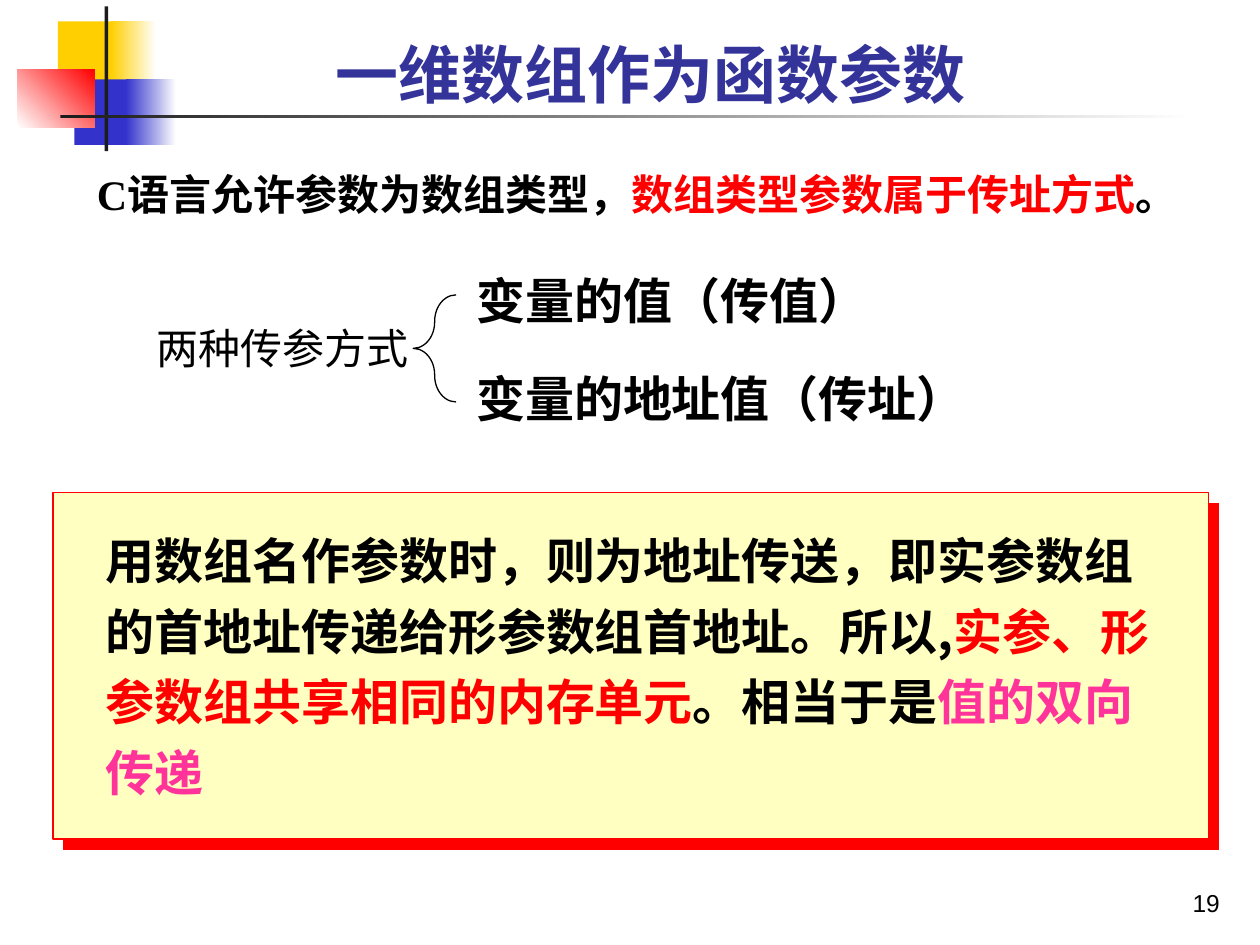
"""Build the slide on passing one-dimensional arrays as function parameters."""
from lxml import etree
from pptx import Presentation
from pptx.dml.color import RGBColor
from pptx.enum.shapes import MSO_SHAPE
from pptx.enum.text import MSO_ANCHOR, MSO_AUTO_SIZE, PP_ALIGN
from pptx.oxml.ns import qn
from pptx.util import Inches, Pt

RECT, BRACE = MSO_SHAPE.RECTANGLE, MSO_SHAPE.LEFT_BRACE
TOP, BASE = MSO_ANCHOR.TOP, MSO_ANCHOR.BOTTOM
LEFT, MID, RIGHT = PP_ALIGN.LEFT, PP_ALIGN.CENTER, PP_ALIGN.RIGHT
FIXED = MSO_AUTO_SIZE.NONE
BLACK = RGBColor(0, 0, 0)
WHITE = RGBColor(0xFF, 0xFF, 0xFF)
RED = RGBColor(0xFF, 0, 0)
PINK = RGBColor(0xFF, 0x33, 0x99)
GOLD = RGBColor(0xFF, 0xCF, 0x01)
BLUE = RGBColor(0x33, 0x33, 0xCC)
NAVY = RGBColor(0x33, 0x33, 0x99)
DARK = RGBColor(0x1C, 0x1C, 0x1C)
CREAM = RGBColor(0xFF, 0xFF, 0xC1)
HAN = "Noto Sans CJK SC"

TITLE = [[("一维数组作为函数参数", NAVY)]]
INTRO = [[("C语言允许参数为数组类型，", BLACK), ("数组类型参数属于传址方式", RED),
          ("。", BLACK)]]
LABEL = [[("两种传参方式", BLACK)]]
WAYS = [[("变量的值（传值）", BLACK)], [("变量的地址值（传址）", BLACK)]]
NOTE = [[("用数组名作参数时，则为地址传送，即实参数组的首地址传递给形参数组首地址。所以,", BLACK),
         ("实参、形参数组共享相同的内存单元", RED), ("。相当于是", BLACK),
         ("值的双向传递", PINK)]]
PAGE = [[("19", BLACK)]]

# box, start colour, end colour, angle
DECOR = [
    ((0.46, 0.17, 0.48, 0.52), GOLD, None, 0),
    ((0.88, 0.17, 0.36, 0.52), GOLD, WHITE, 0),
    ((0.59, 0.63, 0.46, 0.52), BLUE, None, 0),
    ((1, 0.63, 0.4, 0.52), BLUE, WHITE, 0),
    ((0.14, 0.55, 0.61, 0.46), WHITE, RED, 45),
    ((0.83, 0.05, 0.03, 1.15), DARK, None, 0),
    ((0.48, 0.91, 9, 0.03), DARK, WHITE, 0),
]


def place(shape, box):
    shape.left, shape.top, shape.width, shape.height = map(Inches, box)


def draw(slide, kind, box, line=None):
    shape = slide.shapes.add_shape(kind, *map(Inches, box))
    shape.shadow.inherit = False
    if line is None:
        shape.line.fill.background()
    else:
        shape.line.color.rgb = line
        shape.line.width = Pt(0.75)
    return shape


def paint(shape, start, end=None, angle=0):
    fill = shape.fill
    if end is None:
        fill.solid()
        fill.fore_color.rgb = start
        return
    fill.gradient()
    fill.gradient_angle = angle
    for stop, tone in zip(fill.gradient_stops, (start, end)):
        stop.color.rgb = tone


def cast(shape, tone):
    """Give the shape a hard shadow to the lower right."""
    list_ = shape._element.spPr.find(qn("a:effectLst"))
    shade = etree.SubElement(list_, qn("a:outerShdw"), dist=str(Pt(8.5)),
                             dir="2700000", algn="ctr", rotWithShape="0")
    etree.SubElement(shade, qn("a:srgbClr"), val=str(tone))


def write(shape, paras, size, face, bold=True, align=LEFT, anchor=TOP,
          space=1.0, hang=0, inset=None):
    frame = shape.text_frame
    frame.word_wrap = True
    frame.auto_size = FIXED
    frame.vertical_anchor = anchor
    if inset is not None:
        frame.margin_left = frame.margin_right = Inches(inset)
        frame.margin_top = frame.margin_bottom = Inches(inset)
    for i, runs in enumerate(paras):
        para = frame.paragraphs[0] if i == 0 else frame.add_paragraph()
        props = para._p.get_or_add_pPr()
        props.set("marL", str(Inches(hang)))
        props.set("indent", str(-Inches(hang)))
        etree.SubElement(props, qn("a:buNone"))
        para.alignment = align
        para.line_spacing = space
        para.space_before = Pt(0.2 * size if i else 0)
        for text, tone in runs:
            run = para.add_run()
            run.text = text
            font = run.font
            font.name, font.size, font.bold = face, Pt(size), bold
            font.color.rgb = tone
            etree.SubElement(run._r.rPr, qn("a:ea"), typeface=HAN)


def label(slide, box, paras, size, face, **style):
    shape = slide.shapes.add_textbox(*map(Inches, box))
    write(shape, paras, size, face, **style)


def main():
    deck = Presentation()
    deck.slide_width, deck.slide_height = Inches(10), Inches(7.5)
    slide = deck.slides.add_slide(deck.slide_layouts[1])
    for box, start, end, angle in DECOR:
        paint(draw(slide, RECT, box), start, end, angle)

    panel = draw(slide, RECT, (0.42, 3.91, 9.17, 2.75), RED)
    paint(panel, CREAM)
    cast(panel, RED)

    brace = draw(slide, BRACE, (3.28, 2.34, 0.34, 0.85), BLACK)
    brace.fill.background()
    brace.adjustments[0] = 0.615

    title, body = slide.placeholders
    place(title, (0.9, 0.25, 8.52, 0.68))
    write(title, TITLE, 36, HAN, align=MID, anchor=BASE)
    place(body, (3.68, 1.86, 4.38, 1.78))
    write(body, WAYS, 28, "Cabin", space=1.5, hang=0.67)

    label(slide, (0.76, 1.29, 8.79, 0.43), INTRO, 24, "Times New Roman",
          space=1.1, inset=0.01)
    label(slide, (1.14, 2.51, 2.31, 0.63), LABEL, 24, "Cabin", bold=False,
          hang=0.38)
    label(slide, (0.74, 4.07, 8.52, 2.36), NOTE, 28, HAN, space=1.2)
    label(slide, (7.7, 6.83, 2.08, 0.5), PAGE, 14, "Arial", bold=False,
          align=RIGHT, anchor=BASE)
    deck.save("out.pptx")


if __name__ == "__main__":
    main()
